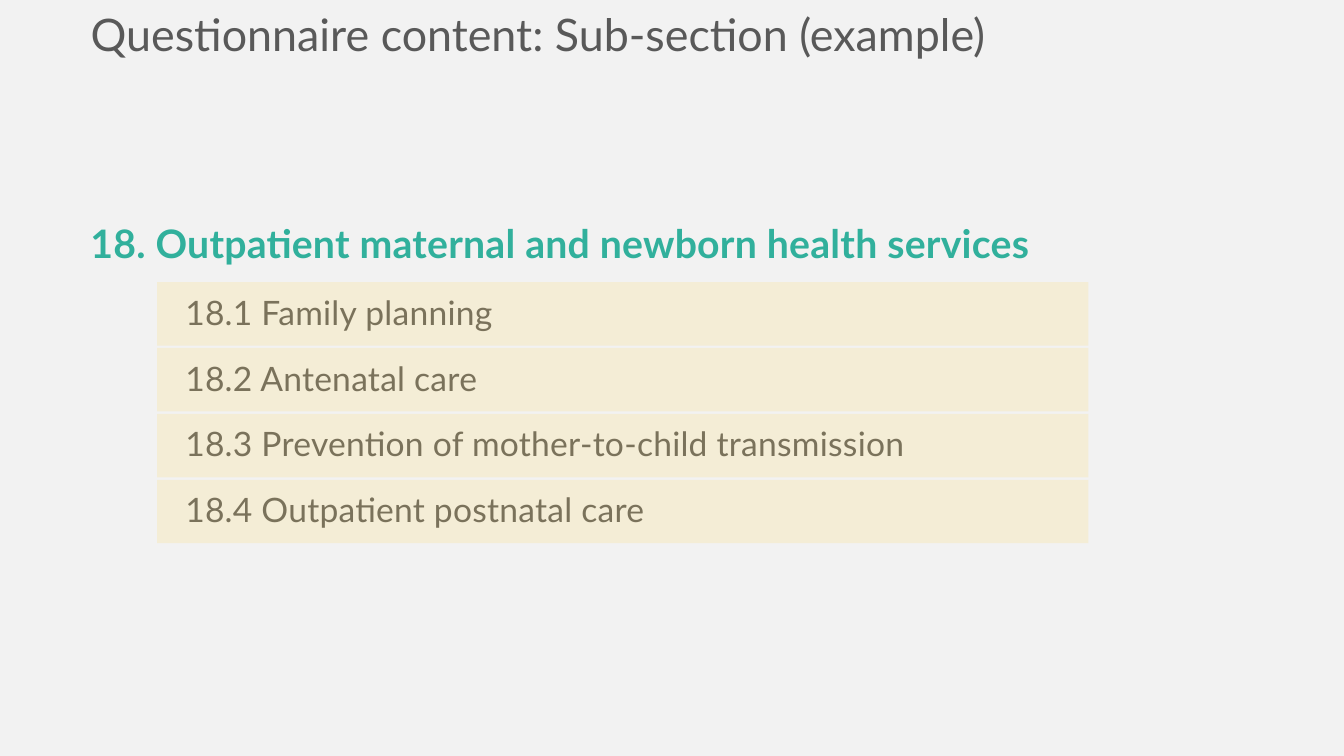
from lxml import etree
from pptx import Presentation
from pptx import util as u
from pptx.dml.color import RGBColor
from pptx.enum import shapes, text
from pptx.oxml.ns import qn

FONT = "Lato"
BACKGROUND = RGBColor(0xF2, 0xF2, 0xF2)
GREY = RGBColor(0x59, 0x59, 0x59)
TEAL = RGBColor(0x31, 0xB0, 0x9C)
YELLOW = RGBColor(0xFF, 0xD9, 0x66)

TITLE = "Questionnaire content: Sub-section (example)"
SECTION = "18. Outpatient maternal and newborn health services"
SUBSECTIONS = [
    "18.1 Family planning",
    "18.2 Antenatal care",
    "18.3 Prevention of mother-to-child transmission",
    "18.4 Outpatient postnatal care",
]


def format_text(para, size, color, bold=False):
    para.alignment = text.PP_ALIGN.LEFT
    for span in para.runs:
        span.font.name = FONT
        span.font.size = u.Pt(size)
        span.font.bold = bold
        span.font.color.rgb = color


def add_title(page, left, top, width, height):
    box = page.shapes.title
    box.left, box.top, box.width, box.height = left, top, width, height
    frame = box.text_frame
    frame.text = TITLE
    frame.vertical_anchor = text.MSO_ANCHOR.TOP
    frame.auto_size = text.MSO_AUTO_SIZE.NONE
    format_text(frame.paragraphs[0], 32, GREY)


def add_outline(page, left, top, width, height):
    frame = page.shapes.add_textbox(left, top, width, height).text_frame
    frame.word_wrap = True
    frame.text = "\n".join([SECTION] + SUBSECTIONS)
    heading, *entries = frame.paragraphs
    format_text(heading, 28, TEAL, bold=True)
    for para in entries:
        format_text(para, 24, GREY)
        para._p.get_or_add_pPr().set("marL", str(u.Cm(2.39)))
    for para in frame.paragraphs:
        para.space_after = u.Pt(18)
        for span in para.runs:
            span.font._element.set("spc", "20")


def add_highlights(page, left, top, width, height):
    """Lay one translucent bar over each sub-section."""
    gap = u.Cm(0.06)
    count = len(SUBSECTIONS)
    bar_height = (height - gap * (count - 1)) // count
    for row in range(count):
        bar = page.shapes.add_shape(
            shapes.MSO_SHAPE.RECTANGLE,
            left, top + row * (bar_height + gap), width, bar_height)
        bar.shadow.inherit = False
        bar.line.fill.background()
        bar.fill.solid()
        bar.fill.fore_color.rgb = YELLOW
        # 20 % opacity
        color = bar._element.spPr.find(qn("a:solidFill"))[0]
        etree.SubElement(color, qn("a:alpha")).set("val", "20000")


def main():
    deck = Presentation()
    deck.slide_width, deck.slide_height = u.Cm(33.87), u.Cm(19.05)
    page = deck.slides.add_slide(deck.slide_layouts.get_by_name("Title Only"))
    page.background.fill.solid()
    page.background.fill.fore_color.rgb = BACKGROUND

    margin = u.Cm(2.03)
    add_title(page, margin, u.Cm(0.05), u.Cm(25.83), u.Cm(1.63))
    add_outline(page, margin, u.Cm(5.41), u.Cm(30.4), u.Cm(9.53))
    add_highlights(page, u.Cm(3.96), u.Cm(7.11), u.Cm(23.47), u.Cm(6.58))
    deck.save("out.pptx")


if __name__ == "__main__":
    main()
